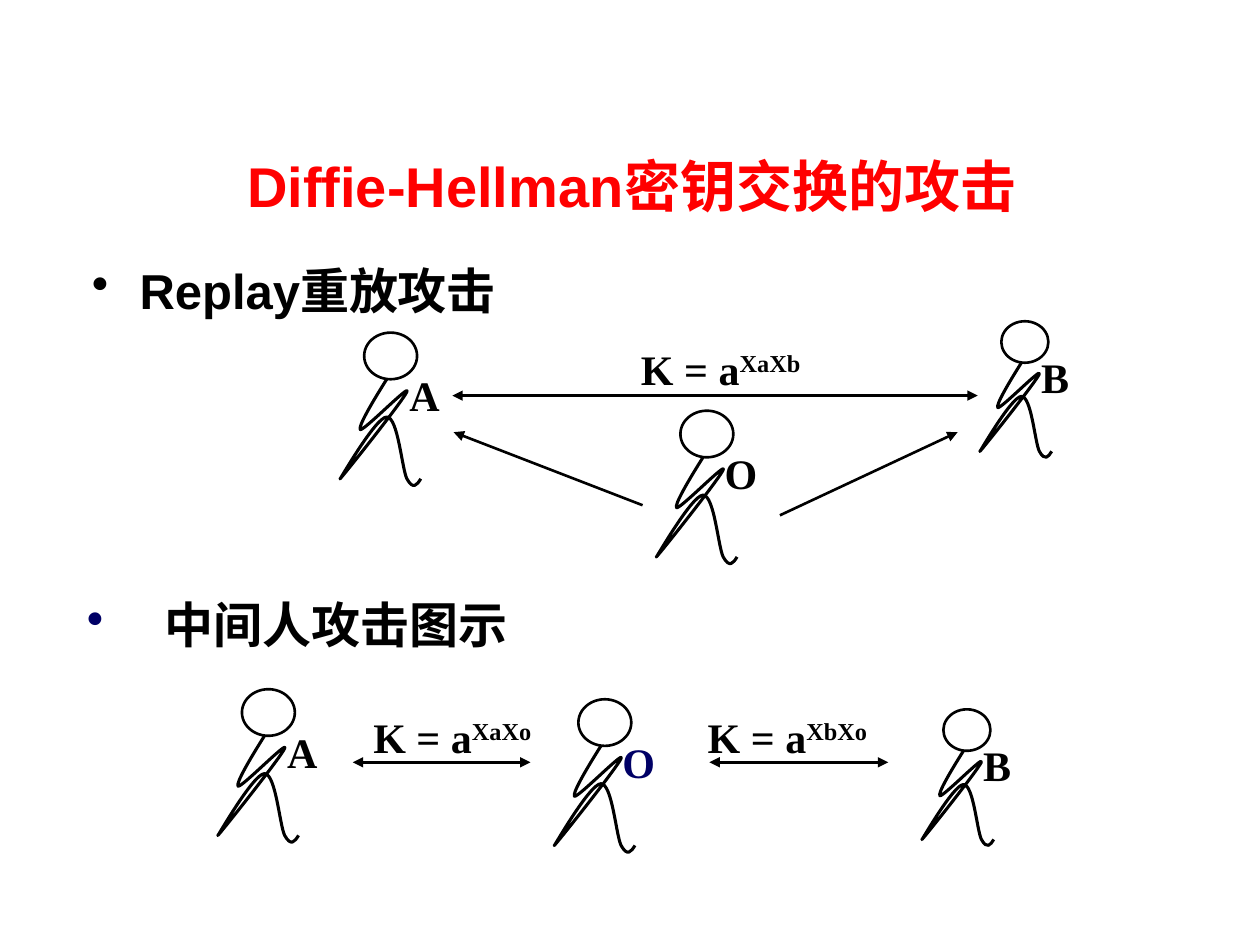
from dataclasses import dataclass
from typing import Optional

from lxml.etree import SubElement
from pptx import Presentation
from pptx.dml.color import RGBColor
from pptx.enum.shapes import MSO_CONNECTOR, MSO_SHAPE
from pptx.enum.text import MSO_ANCHOR, PP_ALIGN
from pptx.oxml.ns import qn
from pptx.util import Inches, Pt


@dataclass(frozen=True)
class Theme:
    ink: str = "000000"
    title: str = "FF0000"
    accent: str = "000066"
    sans: str = "Arial"
    serif: str = "Times New Roman"
    title_size: int = 32
    bullet_size: int = 28
    label_size: int = 24
    outline: float = 1.5
    limb: float = 1.75


THEME = Theme()


@dataclass(frozen=True)
class Person:
    name: str
    left: float
    top: float
    scale: float = 1
    color: str = THEME.ink


@dataclass(frozen=True)
class Arrow:
    start: tuple[float, float]
    end: tuple[float, float]
    double: bool = False


@dataclass(frozen=True)
class Key:
    exponent: str
    left: float
    top: float


@dataclass(frozen=True)
class Bullet:
    text: str
    left: float
    top: float
    height: float
    indent: float
    color: str
    spacing: float


BULLETS = (
    Bullet("Replay重放攻击", 0.63, 2.02, 0.57, 0.38, THEME.ink, 1),
    Bullet("中间人攻击图示", 0.59, 4.72, 0.52, 0.62, THEME.accent, 0.9),
)
SMALL = 0.89
PEOPLE = (
    Person("A", 2.68, 2.64),
    Person("B", 7.76, 2.55, SMALL),
    Person("O", 5.19, 3.26),
    Person("A", 1.71, 5.47),
    Person("B", 7.3, 5.63, SMALL),
    Person("O", 4.38, 5.55, color=THEME.accent),
)
ARROWS = (
    Arrow((3.59, 3.14), (7.76, 3.14), double=True),
    Arrow((6.19, 4.09), (7.6, 3.43)),
    Arrow((5.1, 4.01), (3.6, 3.43)),
    Arrow((2.8, 6.05), (4.21, 6.05), double=True),
    Arrow((5.63, 6.05), (7.05, 6.05), double=True),
)
KEYS = (Key("XaXb", 4.93, 2.55), Key("XaXo", 2.8, 5.47), Key("XbXo", 5.46, 5.47))

BODY_START = (0.39, 0.37)
BODY_CURVES = (
    ((0.27, 0.56), (0.16, 0.75), (0.18, 0.77)),
    ((0.21, 0.78), (0.58, 0.4), (0.55, 0.47)),
    ((0.52, 0.54), (0.05, 1.13), (0.02, 1.16)),
    ((0, 1.2), (0.3, 0.67), (0.39, 0.67)),
    ((0.48, 0.67), (0.51, 1.08), (0.55, 1.16)),
    ((0.6, 1.25), (0.63, 1.21), (0.66, 1.16)),
)


def add_text(page, text: str, left: float, top: float, width: float, height: float, *,
             size: int, font: str, color: str = THEME.ink, centered: bool = True,
             wrap: bool = False, middle: bool = True, side_inset: float = 0.1,
             superscript: str = "", bullet: Optional[Bullet] = None) -> None:
    box = page.shapes.add_textbox(Inches(left), Inches(top), Inches(width), Inches(height))
    frame = box.text_frame
    frame.word_wrap = wrap
    frame.margin_left = frame.margin_right = Inches(side_inset)
    frame.vertical_anchor = MSO_ANCHOR.MIDDLE if middle else MSO_ANCHOR.TOP
    para = frame.paragraphs[0]
    para.alignment = PP_ALIGN.CENTER if centered else PP_ALIGN.LEFT
    if bullet:
        properties = para._p.get_or_add_pPr()
        properties.set("marL", str(Inches(bullet.indent)))
        properties.set("indent", str(-Inches(bullet.indent)))
        bullet_color = SubElement(properties, qn("a:buClr"))
        SubElement(bullet_color, qn("a:srgbClr"), val=bullet.color)
        SubElement(properties, qn("a:buChar"), char="•")
        para.line_spacing = bullet.spacing
    para.font.size = Pt(size)
    for words, raised in ((text, False), (superscript, True)):
        if not words:
            continue
        span = para.add_run()
        span.text = words
        span.font.size = Pt(size)
        span.font.name = font
        span.font.bold = True
        span.font.color.rgb = RGBColor.from_string(color)
        if raised:
            span.font._element.set("baseline", "30000")


def style_outline(shape, width: float) -> None:
    shape.line.color.rgb = RGBColor.from_string(THEME.ink)
    shape.line.width = Pt(width)


def bend_segments(shape) -> None:
    for path in shape.element.iter(qn("a:path")):
        segments = path.findall(qn("a:lnTo"))
        for first in range(0, len(segments), 3):
            curve = SubElement(path, qn("a:cubicBezTo"))
            for segment in segments[first:first + 3]:
                curve.append(segment[0])
                path.remove(segment)


def add_person(page, person: Person) -> None:
    def place(point: tuple[float, float]) -> tuple[int, int]:
        return (Inches(person.left + point[0] * person.scale),
                Inches(person.top + point[1] * person.scale))

    head = page.shapes.add_shape(MSO_SHAPE.OVAL, *place((0.21, 0)),
                                 Inches(0.42 * person.scale), Inches(0.37 * person.scale))
    builder = page.shapes.build_freeform(*place(BODY_START))
    builder.add_line_segments([place(point) for curve in BODY_CURVES for point in curve],
                              close=False)
    body = builder.convert_to_shape()
    bend_segments(body)
    for shape, width in ((head, THEME.outline), (body, THEME.limb)):
        shape.shadow.inherit = False
        shape.fill.background()
        style_outline(shape, width)
    add_text(page, person.name, person.left + 0.55 * person.scale,
             person.top + 0.31 * person.scale, 0.28 * person.scale, 0.37 * person.scale,
             size=THEME.label_size, font=THEME.serif, color=person.color, side_inset=0)


def add_arrow(page, arrow: Arrow) -> None:
    points = [Inches(value) for value in (*arrow.start, *arrow.end)]
    connector = page.shapes.add_connector(MSO_CONNECTOR.STRAIGHT, *points)
    style_outline(connector, THEME.outline)
    properties = connector.element.spPr
    line = properties.find(qn("a:ln"))
    if arrow.double:
        SubElement(line, qn("a:headEnd"), type="triangle")
    SubElement(line, qn("a:tailEnd"), type="triangle")
    SubElement(properties, qn("a:effectLst"))


def main() -> None:
    deck = Presentation()
    deck.slide_width, deck.slide_height = Inches(10), Inches(7.5)
    page = deck.slides.add_slide(deck.slide_layouts[6])
    add_text(page, "Diffie-Hellman密钥交换的攻击", 0.51, 1.15, 9.01, 0.63,
             size=THEME.title_size, font=THEME.sans, color=THEME.title,
             wrap=True, middle=False)
    for bullet in BULLETS:
        add_text(page, bullet.text, bullet.left, bullet.top, 9.01, bullet.height,
                 size=THEME.bullet_size, font=THEME.sans, centered=False,
                 wrap=True, middle=False, bullet=bullet)
    for person in PEOPLE:
        add_person(page, person)
    for arrow in ARROWS:
        add_arrow(page, arrow)
    for key in KEYS:
        add_text(page, "K = a", key.left, key.top, 1.58, 0.75, size=THEME.label_size,
                 font=THEME.serif, superscript=key.exponent)
    deck.save("out.pptx")


if __name__ == "__main__":
    main()
